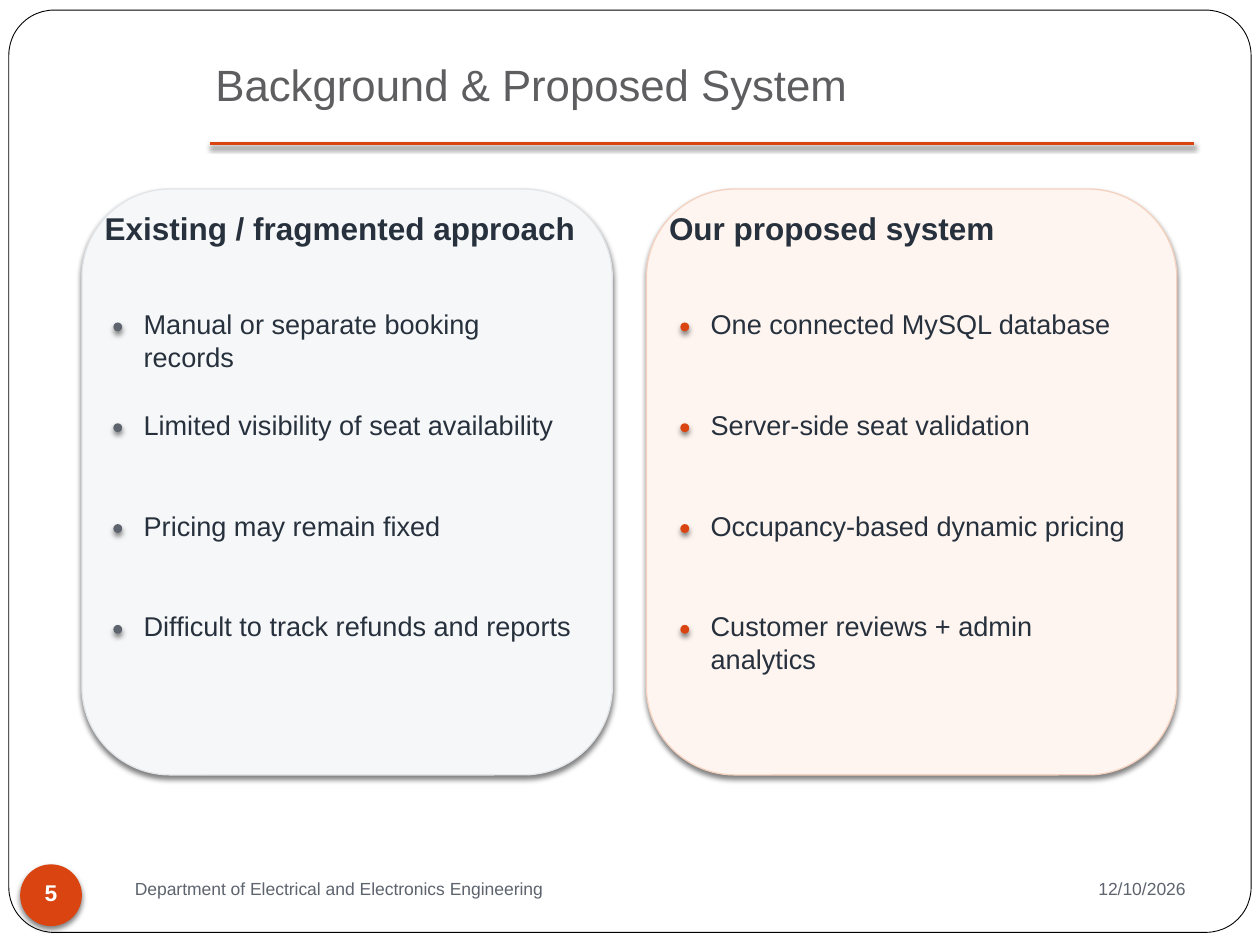
from lxml.etree import SubElement
from pptx import Presentation
from pptx.dml.color import RGBColor
from pptx.enum.shapes import MSO_CONNECTOR as Connector, MSO_SHAPE as Shape
from pptx.enum.text import MSO_ANCHOR as Anchor, MSO_AUTO_SIZE as AutoSize, PP_ALIGN as Align
from pptx.oxml.ns import qn
from pptx.util import Inches, Pt

# The page is a grid of 100 columns by 75 rows
COLUMNS, ROWS = 100, 75
CELL = Inches(0.1)

ACCENT, INK, GREY, WHITE = "D94410", "27313D", "5D646E", "FFFFFF"
INSETS = {
    "margin_left": Inches(0.04), "margin_right": Inches(0.04),
    "margin_top": Inches(0.04), "margin_bottom": Inches(0.02),
}
TITLE = {"size": Pt(25)}
HEADING = {"size": Pt(18), "bold": True}
ITEM = {"size": Pt(15.5)}
FOOTER = {"size": Pt(10)}
NUMBER = {"size": Pt(13), "bold": True}

# Card content: left column, dot column, fill, border, dot colour, heading, items
CARDS = [
    (6.5, 9, "F6F7F8", "E2E5E9", GREY, "Existing / fragmented approach", [
        "Manual or separate booking records",
        "Limited visibility of seat availability",
        "Pricing may remain fixed",
        "Difficult to track refunds and reports",
    ]),
    (51.3, 54, "FEF5F0", "F5D2C0", ACCENT, "Our proposed system", [
        "One connected MySQL database",
        "Server-side seat validation",
        "Occupancy-based dynamic pricing",
        "Customer reviews + admin analytics",
    ]),
]
FIRST_ITEM_ROW, ITEM_STEP = 24, 8


def grid(*cells):
    return [round(cell * CELL) for cell in cells]


def colour(value):
    return RGBColor.from_string(value)


def set_all(target, values):
    for name, value in values.items():
        setattr(target, name, value)


def add_shadow(item):
    """Soft black shadow falling straight down."""
    properties = item._element.spPr
    effects = properties.find(qn("a:effectLst"))
    if effects is None:
        effects = SubElement(properties, qn("a:effectLst"))
    shadow = SubElement(effects, qn("a:outerShdw"), blurRad=str(Pt(3)),
                        dist=str(Pt(2)), dir="5400000", algn="ctr", rotWithShape="0")
    black = SubElement(shadow, qn("a:srgbClr"), val="000000")
    SubElement(black, qn("a:alpha"), val="50000")


def add_block(page, kind, place, fill, border=None, width=0.75, corner=None, shadow=True):
    block = page.shapes.add_shape(kind, *grid(*place))
    block.shadow.inherit = False
    block.fill.solid()
    block.fill.fore_color.rgb = colour(fill)
    if border:
        block.line.color.rgb = colour(border)
        block.line.width = Pt(width)
    else:
        block.line.fill.background()
    if corner is not None:
        block.adjustments[0] = corner
    if shadow:
        add_shadow(block)


def add_text(page, place, text, style, ink, align=Align.LEFT, anchor=Anchor.TOP):
    box = page.shapes.add_textbox(*grid(*place))
    frame = box.text_frame
    set_all(frame, INSETS | {"word_wrap": True, "auto_size": AutoSize.NONE,
                             "vertical_anchor": anchor})
    para = frame.paragraphs[0]
    para.alignment = align
    span = para.add_run()
    span.text = text
    set_all(span.font, {"name": "Arial"} | style)
    span.font.color.rgb = colour(ink)


def add_rule(page, start, end):
    rule = page.shapes.add_connector(Connector.STRAIGHT, *grid(*start, *end))
    rule.line.color.rgb = colour(ACCENT)
    rule.line.width = Pt(1.5)
    add_shadow(rule)


def add_card(page, left, dot_left, fill, border, dot, heading, items):
    add_block(page, Shape.ROUNDED_RECTANGLE, (left, 15, 42.1, 46.5), fill, border)
    add_text(page, (left + 1.4, 16.2, 39.3, 3.5), heading, HEADING, INK)
    for index, item in enumerate(items):
        row = FIRST_ITEM_ROW + index * ITEM_STEP
        add_block(page, Shape.OVAL, (dot_left, row + 1.6, 0.7, 0.7), dot)
        add_text(page, (dot_left + 2, row, 34.9, 7.6), item, ITEM, INK)


def main():
    deck = Presentation()
    deck.slide_width, deck.slide_height = grid(COLUMNS, ROWS)
    page = deck.slides.add_slide(deck.slide_layouts[6])

    # Frame and title
    add_block(page, Shape.ROUNDED_RECTANGLE, (0.7, 0.8, 98.6, 73.2), WHITE,
              "000000", 0.5, corner=0.049, shadow=False)
    add_text(page, (16.7, 4.2, 78, 5.6), "Background & Proposed System", TITLE, "5E5E60")
    add_rule(page, (16.7, 11.4), (94.8, 11.4))

    # Page number and footer
    add_block(page, Shape.OVAL, (1.6, 68.6, 4.9, 4.9), ACCENT)
    add_text(page, (1.6, 68.7, 4.9, 4), "5", NUMBER, WHITE, Align.CENTER, Anchor.MIDDLE)
    add_text(page, (10.3, 69.3, 57, 2.8),
             "Department of Electrical and Electronics Engineering", FOOTER, GREY)
    add_text(page, (84.5, 69.3, 10, 2.8), "12/10/2026", FOOTER, GREY, Align.RIGHT)

    # Comparison cards
    for card in CARDS:
        add_card(page, *card)

    deck.save("out.pptx")


if __name__ == "__main__":
    main()
